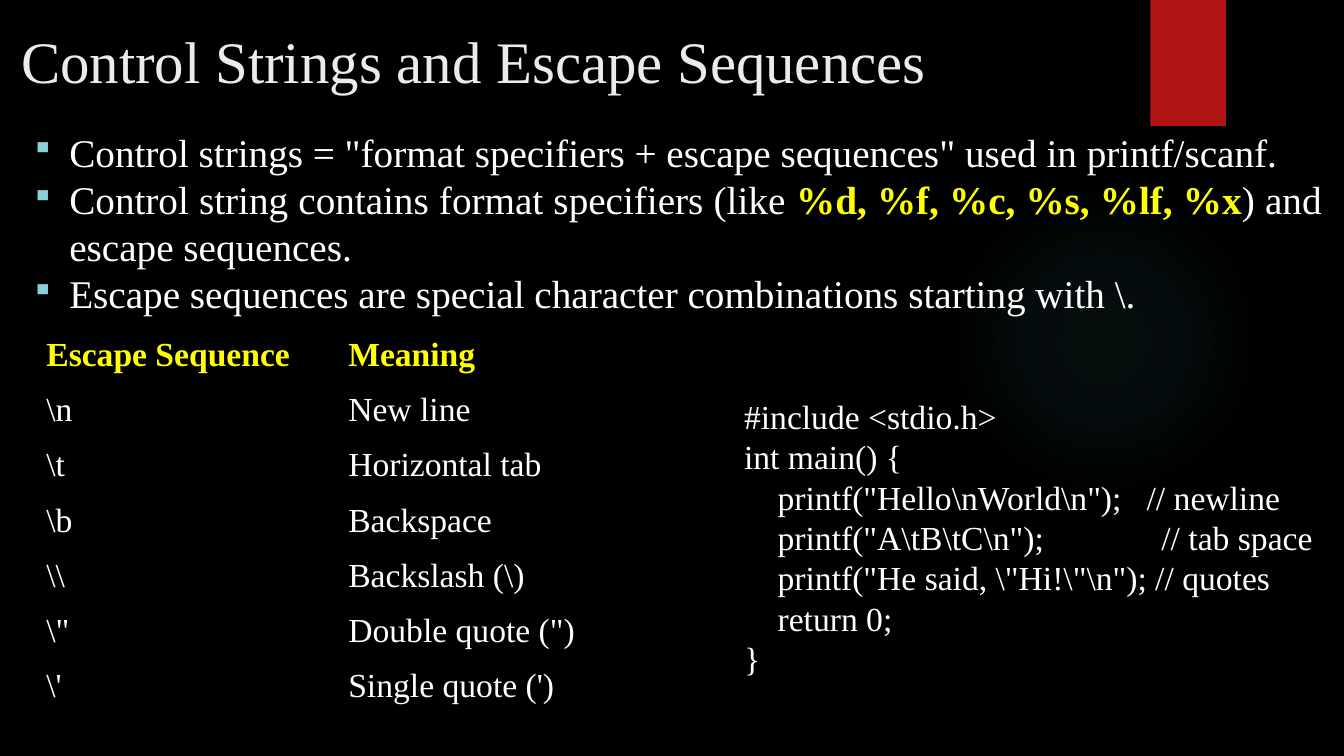
from lxml import etree
from pptx import Presentation
from pptx.dml.color import RGBColor
from pptx.enum.shapes import MSO_SHAPE
from pptx.enum.text import MSO_ANCHOR, PP_ALIGN
from pptx.oxml import parse_xml
from pptx.oxml.ns import nsdecls, qn
from pptx.util import Inches, Pt

ELLIPSE, RECTANGLE = MSO_SHAPE.OVAL, MSO_SHAPE.RECTANGLE
TOP, MIDDLE = MSO_ANCHOR.TOP, MSO_ANCHOR.MIDDLE
LEFT, JUSTIFY = PP_ALIGN.LEFT, PP_ALIGN.JUSTIFY
COLORS = {"ground": "000000", "title": "EBEBEB", "text": "FFFFFF", "accent": "FFFF00",
          "ribbon": "B01513", "bullet": "8AD0D6", "glow": "50B9C1"}
COLUMNS, ROWS = 80, 45
GLOW_STOPS = [(0, 7), (36, 6), (69, 0)]

POINTS = [
    ['Control strings = "format specifiers + escape sequences" used in printf/scanf.'],
    ["Control string contains format specifiers (like ", "%d, %f, %c, %s, %lf, %x",
     ") and escape sequences."],
    ["Escape sequences are special character combinations starting with \\."],
]
ESCAPES = [
    ("Escape Sequence", "Meaning"),
    (r"\n", "New line"),
    (r"\t", "Horizontal tab"),
    (r"\b", "Backspace"),
    (r"\\", r"Backslash (\)"),
    (r"\"", 'Double quote (")'),
    (r"\'", "Single quote (')"),
]
PROGRAM = r'''#include <stdio.h>
int main() {
    printf("Hello\nWorld\n");   // newline
    printf("A\tB\tC\n");              // tab space
    printf("He said, \"Hi!\"\n"); // quotes
    return 0;
}'''


class Board:
    """Draws styled elements on one slide, placed in columns and rows of a grid."""

    def __init__(self, deck):
        self.slide = deck.slides.add_slide(deck.slide_layouts[5])
        self.column = deck.slide_width / COLUMNS
        self.row = deck.slide_height / ROWS
        self.font = "Times New Roman"
        ground = self.slide.background.fill
        ground.solid()
        ground.fore_color.rgb = self.color("ground")

    def color(self, role):
        return RGBColor.from_string(COLORS[role])

    def place(self, left, top, width, height):
        return (round(left * self.column), round(top * self.row),
                round(width * self.column), round(height * self.row))

    def style(self, paragraph, size, role="text", bold=False):
        for run in paragraph.runs:
            run.font.name, run.font.size, run.font.bold = self.font, Pt(size), bold
            run.font.color.rgb = self.color(role)

    def shape(self, preset, role, *area):
        shape = self.slide.shapes.add_shape(preset, *self.place(*area))
        shape.shadow.inherit = False
        shape.line.fill.background()
        shape.fill.solid()
        shape.fill.fore_color.rgb = self.color(role)
        return shape

    def glow(self, *area):
        properties = self.shape(ELLIPSE, "glow", *area).fill._xPr
        stops = "".join(
            f'<a:gs pos="{place * 1000}"><a:srgbClr val="{COLORS["glow"]}">'
            f'<a:alpha val="{opacity * 1000}"/></a:srgbClr></a:gs>'
            for place, opacity in GLOW_STOPS)
        gradient = parse_xml(
            f'<a:gradFill {nsdecls("a")}><a:gsLst>{stops}</a:gsLst><a:path path="circle">'
            '<a:fillToRect l="50000" t="50000" r="50000" b="50000"/></a:path></a:gradFill>')
        properties.replace(properties.find(qn("a:solidFill")), gradient)

    def title(self, text, size, *area):
        title = self.slide.shapes.title
        title.left, title.top, title.width, title.height = self.place(*area)
        frame = title.text_frame
        frame.text = text
        frame.vertical_anchor = TOP
        frame.paragraphs[0].alignment = LEFT
        self.style(frame.paragraphs[0], size, "title")

    def text_box(self, text, size, *area):
        frame = self.slide.shapes.add_textbox(*self.place(*area)).text_frame
        frame.word_wrap = True
        frame.text = text
        for paragraph in frame.paragraphs:
            self.style(paragraph, size)
        return frame

    def bullets(self, points, size, *area):
        frame = self.text_box("\n".join(point[0] for point in points), size, *area)
        for paragraph, (_, *rest) in zip(frame.paragraphs, points):
            paragraph.alignment = JUSTIFY
            properties = paragraph._p.get_or_add_pPr()
            properties.set("marL", str(Inches(0.38)))
            properties.set("indent", str(-Inches(0.38)))
            tint = etree.SubElement(properties, qn("a:buClr"))
            etree.SubElement(tint, qn("a:srgbClr"), val=COLORS["bullet"])
            etree.SubElement(properties, qn("a:buSzPct"), val="80000")
            etree.SubElement(properties, qn("a:buChar"), char="▪")
            for text in rest:
                paragraph.add_run().text = text
            self.style(paragraph, size)
            for run in paragraph.runs[1:2]:
                run.font.bold = True
                run.font.color.rgb = self.color("accent")

    def table(self, rows, size, *area):
        table = self.slide.shapes.add_table(len(rows), len(rows[0]), *self.place(*area)).table
        table.first_row = table.horz_banding = False
        for row, texts in enumerate(rows):
            for column, text in enumerate(texts):
                cell = table.cell(row, column)
                cell.fill.background()
                cell.vertical_anchor = MIDDLE
                cell.text = text
                heading = row == 0
                self.style(cell.text_frame.paragraphs[0], size,
                           "accent" if heading else "text", heading)
        style_id = table._tbl.tblPr.find(qn("a:tableStyleId"))
        style_id.text = "{2D5ABB26-0587-4C30-8999-92F81FD0307C}"


def main():
    deck = Presentation()
    deck.slide_width, deck.slide_height = Inches(13.33), Inches(7.5)
    board = Board(deck)
    board.glow(56.46, 11, 18.5, 18.5)
    board.shape(RECTANGLE, "ribbon", 68.48, 0, 4.5, 7.5)
    board.title("Control Strings and Escape Sequences", 42, 0.66, 1.14, 61.75, 9.2)
    board.bullets(POINTS, 28, 1.26, 7.32, 78, 36)
    board.table(ESCAPES, 24, 2.16, 19.5, 35.95, 23)
    board.text_box(PROGRAM, 24, 43.7, 23.28, 40, 17.6)
    deck.save("out.pptx")


if __name__ == "__main__":
    main()
